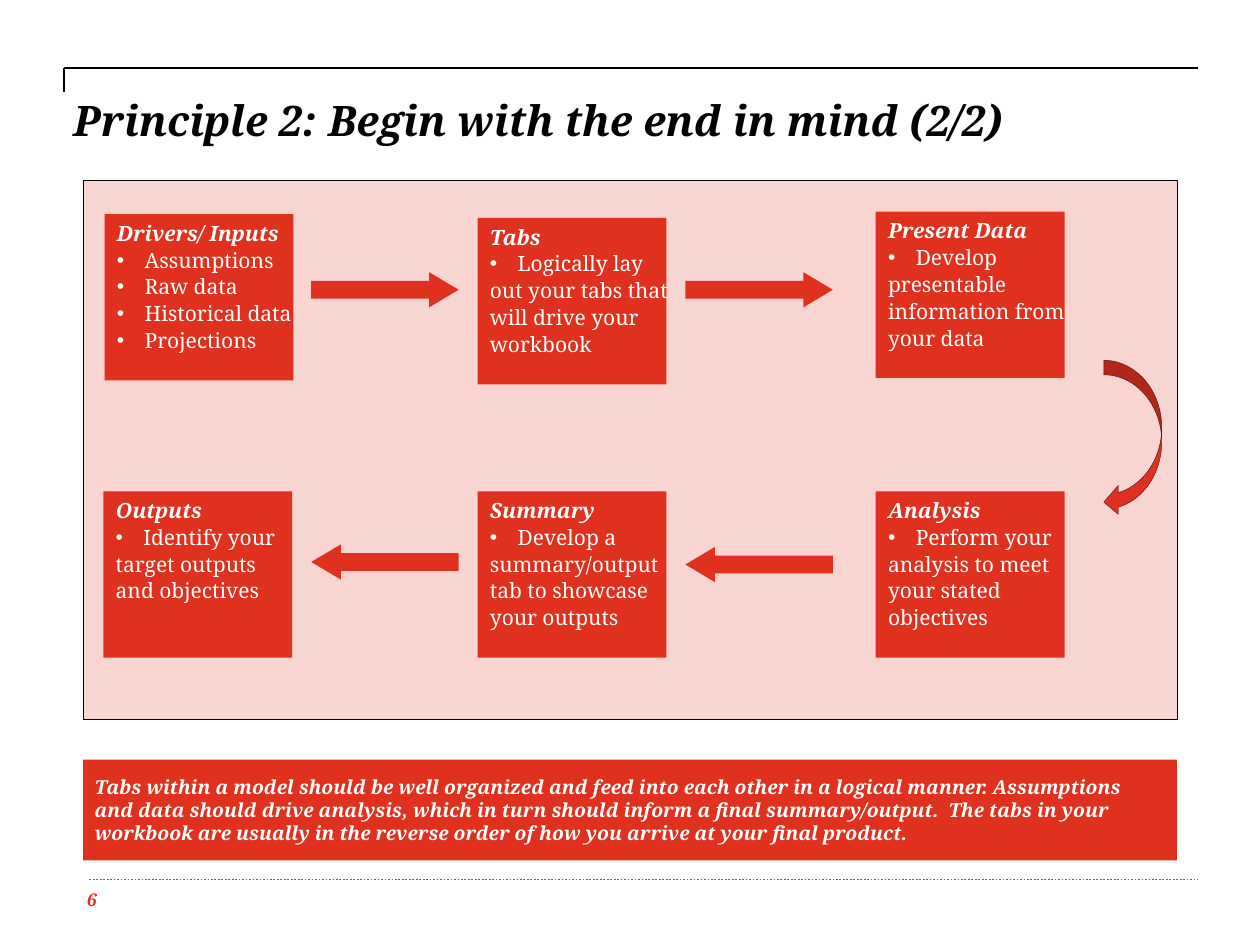
from lxml.etree import SubElement
from pptx import Presentation
from pptx.dml.color import RGBColor
from pptx.enum.dml import MSO_LINE
from pptx.enum.shapes import MSO_CONNECTOR, MSO_SHAPE
from pptx.enum.text import MSO_ANCHOR, PP_ALIGN
from pptx.oxml.ns import qn
from pptx.util import Inches, Pt

FONT = "Noto Serif"
RED, PINK, BLACK, WHITE, MAROON = "E0301E", "F9D5D2", "000000", "FFFFFF", "471A18"
BOX_WIDTH, BOX_HEIGHT = 1.5, 1.32
ARROW_WIDTH, ARROW_HEIGHT = 1.17, 0.28


def color(value):
    return RGBColor.from_string(value)


def add_text(paragraph, text, size=12, fill=WHITE, strong=False, before=0, after=0,
             bullet=False):
    """Write one formatted line into a paragraph."""
    paragraph.alignment = PP_ALIGN.LEFT
    paragraph.space_before, paragraph.space_after = Pt(before), Pt(after)
    run = paragraph.add_run()
    run.text = text
    font = run.font
    font.name, font.size = FONT, Pt(size)
    font.bold = font.italic = strong
    font.color.rgb = color(fill)
    if bullet:
        properties = paragraph._p.get_or_add_pPr()
        properties.set("marL", str(Inches(0.22)))
        properties.set("indent", str(Inches(-0.22)))
        SubElement(properties, qn("a:buFont")).set("typeface", "Arial")
        SubElement(properties, qn("a:buChar")).set("char", "•")


def set_frame(frame, margins, anchor=MSO_ANCHOR.TOP, wrap=True):
    frame.margin_left, frame.margin_top, frame.margin_right, frame.margin_bottom = (
        Inches(margin) for margin in margins)
    frame.vertical_anchor = anchor
    frame.word_wrap = wrap


def add_shape(slide, kind, left, top, width, height, fill=RED, line=None, rotation=0):
    shape = slide.shapes.add_shape(
        kind, Inches(left), Inches(top), Inches(width), Inches(height))
    shape.shadow.inherit = False
    shape.rotation = rotation
    shape.fill.solid()
    shape.fill.fore_color.rgb = color(fill)
    if line:
        shape.line.color.rgb = color(line)
        shape.line.width = Pt(0.25)
    else:
        shape.line.fill.background()
    return shape


def add_line(slide, start, end, stroke, dash=None):
    line = slide.shapes.add_connector(
        MSO_CONNECTOR.STRAIGHT, *(Inches(value) for value in (*start, *end)))
    line.line.color.rgb = color(stroke)
    line.line.width = Pt(1)
    if dash:
        line.line.dash_style = dash
    SubElement(line._element.spPr, qn("a:effectLst"))


def add_header(slide, left, top, width):
    """Corner rule and title."""
    add_line(slide, (left, top), (left + width, top), BLACK)
    add_line(slide, (left, top), (left, top + 0.19), BLACK)
    title = slide.shapes.title
    title.left, title.top = Inches(left + 0.07), Inches(top + 0.21)
    title.width, title.height = Inches(8.83), Inches(1)
    set_frame(title.text_frame, (0, 0, 0, 0))
    add_text(title.text_frame.paragraphs[0], "Principle 2: Begin with the end in mind (2/2)",
             size=24, fill=BLACK, strong=True, before=6, after=6)


def add_step(slide, left, top, heading, lines, bullets=1):
    """Box with a heading; the first lines carry bullets."""
    box = add_shape(slide, MSO_SHAPE.RECTANGLE, left, top, BOX_WIDTH, BOX_HEIGHT)
    frame = box.text_frame
    set_frame(frame, (0.1, 0.05, 0.1, 0.05), wrap=False)
    add_text(frame.paragraphs[0], heading, strong=True, after=0.9)
    for index, line in enumerate(lines):
        add_text(frame.add_paragraph(), line, after=0.9, bullet=index < bullets)


def add_arrow(slide, left, top, rotation=0):
    arrow = add_shape(slide, MSO_SHAPE.RIGHT_ARROW, left, top, ARROW_WIDTH, ARROW_HEIGHT,
                      rotation=rotation)
    arrow.adjustments[1] = 0.838


def add_process(slide, left, top, width, height):
    """Panel with six steps running clockwise."""
    add_shape(slide, MSO_SHAPE.RECTANGLE, left, top, width, height, PINK, BLACK)
    steps = [
        (0.17, 0.27, "Drivers/ Inputs",
         ["Assumptions", "Raw data", "Historical data", "Projections"], 4),
        (3.13, 0.3, "Tabs",
         ["Logically lay", "out your tabs that", "will drive your", "workbook"], 1),
        (6.29, 0.25, "Present Data",
         ["Develop", "presentable", "information from", "your data"], 1),
        (6.29, 2.47, "Analysis",
         ["Perform your", "analysis to meet", "your stated", "objectives"], 1),
        (3.13, 2.47, "Summary",
         ["Develop a", "summary/output", "tab to showcase", "your outputs"], 1),
        (0.16, 2.47, "Outputs",
         ["Identify your", "target outputs", "and objectives"], 1),
    ]
    for x, y, heading, lines, bullets in steps:
        add_step(slide, left + x, top + y, heading, lines, bullets)
    for x, y, rotation in [(1.81, 0.73, 0), (4.78, 0.73, 0),
                           (4.78, 2.91, 180), (1.81, 2.89, 180)]:
        add_arrow(slide, left + x, top + y, rotation)
    add_shape(slide, MSO_SHAPE.CURVED_DOWN_ARROW, left + 7.71, top + 1.82, 1.24, 0.46,
              line=MAROON, rotation=90)


def add_takeaway(slide, left, top, width, height):
    """Summary banner."""
    banner = add_shape(slide, MSO_SHAPE.RECTANGLE, left, top, width, height)
    set_frame(banner.text_frame, (0.09, 0.04, 0.09, 0.04), MSO_ANCHOR.MIDDLE)
    add_text(banner.text_frame.paragraphs[0],
             "Tabs within a model should be well organized and feed into each other in a "
             "logical manner. Assumptions and data should drive analysis, which in turn "
             "should inform a final summary/output.  The tabs in your workbook are usually "
             "in the reverse order of how you arrive at your final product.",
             size=11, strong=True)


def add_footer(slide, left, top, width):
    """Dotted rule and page number."""
    add_line(slide, (left, top), (left + width, top), RED, MSO_LINE.ROUND_DOT)
    number = slide.shapes.add_textbox(
        Inches(left - 0.02), Inches(top + 0.03), Inches(0.49), Inches(0.45))
    set_frame(number.text_frame, (0, 0.05, 0, 0))
    add_text(number.text_frame.paragraphs[0], "6", size=10, fill=RED, strong=True)


presentation = Presentation()
presentation.slide_width, presentation.slide_height = Inches(10), Inches(7.5)
slide = presentation.slides.add_slide(presentation.slide_layouts[5])
add_header(slide, 0.51, 0.54, 9)
add_process(slide, 0.66, 1.43, 8.68, 4.28)
add_takeaway(slide, 0.66, 6.03, 8.68, 0.8)
add_footer(slide, 0.71, 6.98, 8.8)
presentation.save("out.pptx")
